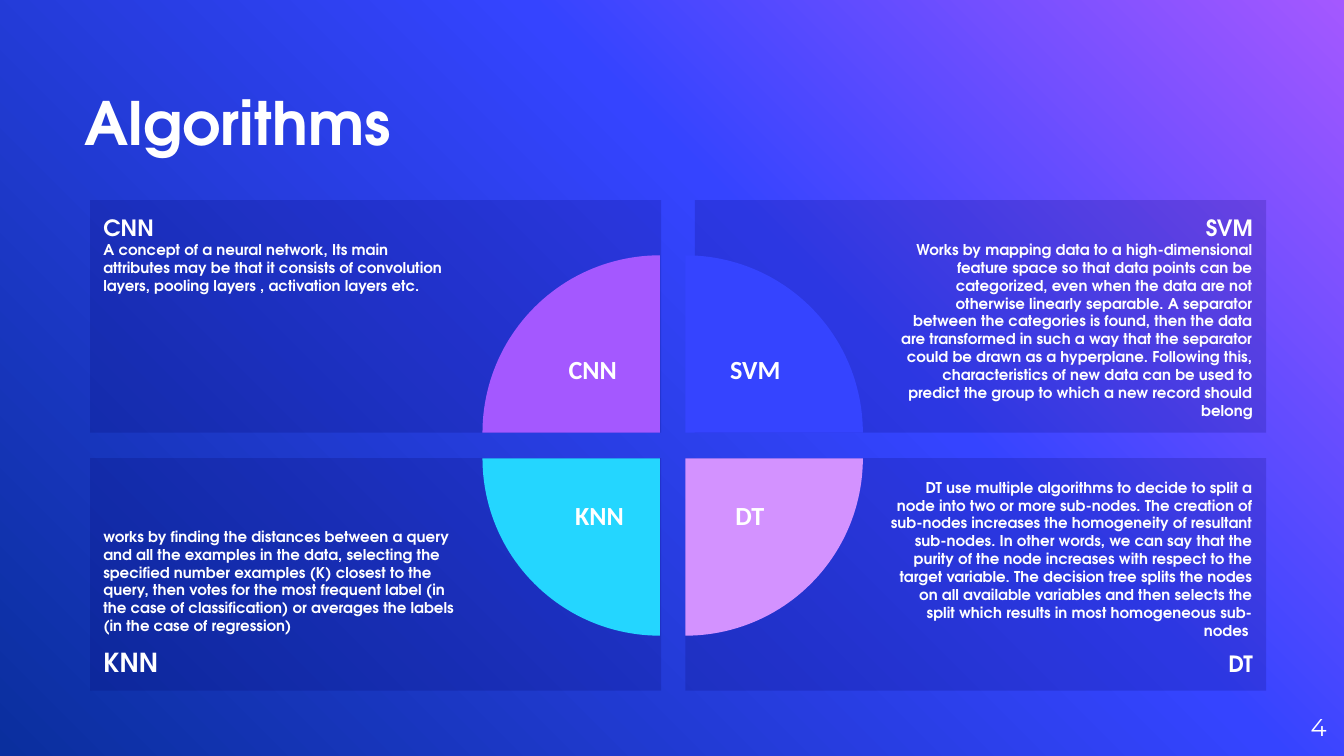
from lxml.etree import SubElement
from pptx import Presentation
from pptx.dml.color import RGBColor
from pptx.enum.shapes import MSO_SHAPE
from pptx.enum.text import MSO_ANCHOR, PP_ALIGN
from pptx.oxml.ns import qn
from pptx.util import Inches, Pt

WIDE = 10
HIGH = WIDE * 9 / 16
FACE = "TeX Gyre Adventor"
WHITE, NAVY = "FFFFFF", "050060"
STOPS = [(0, "A458FF"), (39, "3544FF"), (100, "0A2F9E")]
ROWS = [1.49, 3.41]
EDGES = [0.67, 9.42]
PANEL = 1.73
PIE = 2.64
PIE_X, PIE_Y = [3.59, 3.78], [1.9, 2.09]
LABEL_Y = [2.58, 3.67]

PARTS = [
    {"col": 0, "row": 0, "width": 4.25, "label": 4.09, "hue": "A458FF", "turn": 0, "paras": [
        ("CNN", 12),
        ("A concept of a neural network, Its main attributes may be that it consists of "
         "convolution layers, pooling layers , activation layers etc.", 8)]},
    {"col": 1, "row": 0, "width": 4.25, "label": 5.3, "hue": "3544FF", "turn": 90, "paras": [
        ("SVM", 12),
        ("Works by mapping data to a high-dimensional feature space so that data points can be "
         "categorized, even when the data are not otherwise linearly separable. A separator "
         "between the categories is found, then the data are transformed in such a way that the "
         "separator could be drawn as a hyperplane. Following this, characteristics of new data "
         "can be used to predict the group to which a new record should belong", 8)]},
    {"col": 1, "row": 1, "width": 4.32, "label": 5.26, "hue": "D392FF", "turn": 180, "paras": [
        ("DT use multiple algorithms to decide to split a node into two or more sub-nodes. The "
         "creation of sub-nodes increases the homogeneity of resultant sub-nodes. In other words, "
         "we can say that the purity of the node increases with respect to the target variable. "
         "The decision tree splits the nodes on all available variables and then selects the "
         "split which results in most homogeneous sub-nodes ", 8),
        ("DT", 12)]},
    {"col": 0, "row": 1, "width": 4.25, "label": 4.14, "hue": "24D6FF", "turn": 270, "paras": [
        ("works by finding the distances between a query and all the examples in the data, "
         "selecting the specified number examples (K) closest to the query, then votes for the "
         "most frequent label (in the case of classification) or averages the labels (in the "
         "case of regression)", 8),
        ("KNN", 14)]},
]


def box(*sizes):
    return [Inches(size) for size in sizes]


def color(hue):
    return RGBColor.from_string(hue)


def inset(frame, left, top, right, bottom):
    frame.margin_left, frame.margin_top = box(left, top)
    frame.margin_right, frame.margin_bottom = box(right, bottom)


def style(para, size, face, bold=True, align=PP_ALIGN.LEFT):
    para.alignment = align
    for run in para.runs:
        font = run.font
        font.size, font.name, font.bold = Pt(size), face, bold
        font.color.rgb = color(WHITE)


def solid(slide, kind, place, hue):
    shape = slide.shapes.add_shape(kind, *box(*place))
    shape.shadow.inherit = False
    shape.fill.solid()
    shape.fill.fore_color.rgb = color(hue)
    shape.line.fill.background()
    return shape


def paint(slide):
    fill = slide.background.fill
    fill.gradient()
    fill.gradient_angle = 225
    stops = next(slide.element.iter(qn("a:gsLst")))
    for old in list(stops):
        stops.remove(old)
    for share, hue in STOPS:
        stop = SubElement(stops, qn("a:gs"), pos=str(share * 1000))
        SubElement(stop, qn("a:srgbClr"), val=hue)


def panel(slide, part):
    col, row, width = part["col"], part["row"], part["width"]
    left = EDGES[1] - width if col else EDGES[0]
    shape = solid(slide, MSO_SHAPE.RECTANGLE, (left, ROWS[row], width, PANEL), NAVY)
    tint = next(shape.element.spPr.iter(qn("a:srgbClr")))
    SubElement(tint, qn("a:alpha"), val="18000")
    frame = shape.text_frame
    frame.word_wrap = True
    frame.vertical_anchor = MSO_ANCHOR.BOTTOM if row else MSO_ANCHOR.TOP
    inset(frame, 1.5 if col else 0.1, 0.1, 0.1 if col else 1.5, 0.1)
    for i, (text, size) in enumerate(part["paras"]):
        para = frame.add_paragraph() if i else frame.paragraphs[0]
        para.text = text
        style(para, size, FACE, align=PP_ALIGN.RIGHT if col else PP_ALIGN.LEFT)
        if i and row:
            para.space_before = Pt(6)


def wedge(slide, part):
    place = PIE_X[part["col"]], PIE_Y[part["row"]], PIE, PIE
    pie = solid(slide, MSO_SHAPE.PIE, place, part["hue"])
    pie.adjustments[0], pie.adjustments[1] = 108, 162
    pie.rotation = part["turn"]


def note(slide, place, text, size, face, bold, align):
    frame = slide.shapes.add_textbox(*box(*place)).text_frame
    frame.word_wrap = True
    frame.text = text
    style(frame.paragraphs[0], size, face, bold, align)
    return frame


def label(slide, part):
    row = part["row"]
    name = part["paras"][row][0]
    place = part["label"], LABEL_Y[row], 0.64, 0.38
    note(slide, place, name, 14, "Calibri", True, PP_ALIGN.CENTER)


def main():
    deck = Presentation()
    deck.slide_width, deck.slide_height = box(WIDE, HIGH)
    slide = deck.slides.add_slide(deck.slide_layouts[5])
    paint(slide)

    title = slide.shapes.title
    title.left, title.top, title.width, title.height = box(0.63, 0.23, 6.58, 0.94)
    frame = title.text_frame
    frame.text = "Algorithms"
    frame.vertical_anchor = MSO_ANCHOR.BOTTOM
    inset(frame, 0, 0, 0, 0)
    style(frame.paragraphs[0], 32, FACE)

    page = note(slide, (9.27, 5.19, 0.6, 0.43), "4", 13, "Montserrat", False, PP_ALIGN.RIGHT)
    page.vertical_anchor = MSO_ANCHOR.MIDDLE
    inset(page, 0, 0, 0, 0)

    for draw in (panel, wedge, label):
        for part in PARTS:
            draw(slide, part)

    deck.save("out.pptx")


if __name__ == "__main__":
    main()
